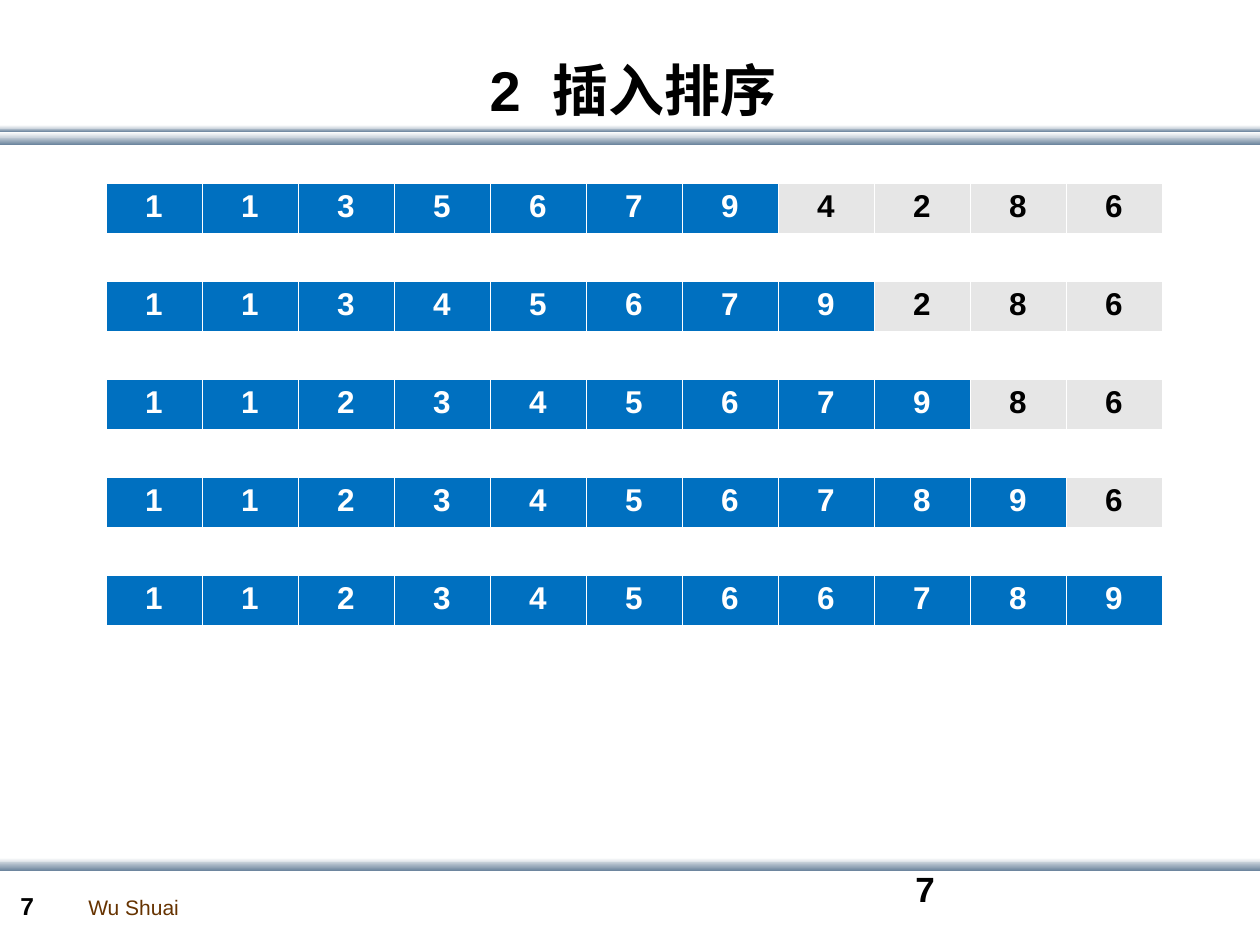
from dataclasses import dataclass

from lxml import etree
from pptx import Presentation
from pptx import util as u
from pptx.dml.color import RGBColor
from pptx.enum import text
from pptx.enum import shapes
from pptx.oxml.ns import qn

EMU_PER_PX = 914400 / 126


@dataclass(frozen=True)
class Theme:
    font: str = "Arial"
    ink: str = "000000"
    paper: str = "FFFFFF"
    author: str = "663300"
    sorted_fill: str = "0070C0"
    unsorted_fill: str = "E6E6E6"
    band_light: str = "C8D1DA"
    band_dark: str = "6A839C"
    title_size: int = 32
    page_size: int = 20
    cell_size: int = 18
    number_size: int = 14
    author_size: int = 12
    thin_border: float = 0.45
    thick_border: float = 1.47


THEME = Theme()

# Top, height and gradient colours of each band, from back to front
SHADE = (THEME.band_light, THEME.band_dark)
SHINE = (THEME.paper, THEME.band_light)
BANDS = [
    (137, 8, SHADE),
    (128, 4, SHADE),
    (132, 6, SHINE),
    (125, 4, SHINE),
    (858, 6, SHINE),
    (862, 9, SHADE),
]

# Array after each insertion; every step adds one sorted value
STEPS = ["11356794286", "11345679286", "11234567986", "11234567896", "11234566789"]
FIRST_SORTED = 7
TABLE_LEFT, TABLE_TOP, STEP_PITCH = 106, 183, 98
CELL_WIDTH, CELL_HEIGHT = 96, 51


def px(length):
    return u.Emu(round(length * EMU_PER_PX))


def rgb(colour):
    return RGBColor.from_string(colour)


def style_paragraph(paragraph, size, colour, bold=True, align=text.PP_ALIGN.LEFT):
    paragraph.alignment = align
    for run in paragraph.runs:
        run.font.name = THEME.font
        run.font.size = u.Pt(size)
        run.font.bold = bold
        run.font.color.rgb = rgb(colour)


def add_band(slide, top, height, colours):
    shape = slide.shapes.add_shape(
        shapes.MSO_SHAPE.RECTANGLE, px(0), px(top), px(1261), px(height))
    shape.shadow.inherit = False
    shape.line.fill.background()
    shape.fill.gradient()
    shape.fill.gradient_angle = 270
    for stop, position, colour in zip(shape.fill.gradient_stops, (0, 1), colours):
        stop.position = position
        stop.color.rgb = rgb(colour)


def add_label(slide, box, words, size, colour, bold=True, wrap=True):
    text_frame = slide.shapes.add_textbox(*map(px, box)).text_frame
    text_frame.word_wrap = wrap
    text_frame.text = words
    style_paragraph(text_frame.paragraphs[0], size, colour, bold)


def set_title(slide, words):
    title = slide.shapes.title
    title.left, title.top, title.width, title.height = map(px, (28, 55, 1210, 69))
    text_frame = title.text_frame
    text_frame.text = words
    text_frame.auto_size = text.MSO_AUTO_SIZE.NONE
    text_frame.vertical_anchor = text.MSO_ANCHOR.MIDDLE
    style_paragraph(text_frame.paragraphs[0], THEME.title_size, THEME.ink,
                    align=text.PP_ALIGN.CENTER)


def set_borders(cell):
    properties = cell._tc.get_or_add_tcPr()
    for side in ("L", "R", "T", "B"):
        width = THEME.thick_border if side == "B" else THEME.thin_border
        line = etree.SubElement(properties, qn(f"a:ln{side}"), w=str(u.Pt(width)))
        fill = etree.SubElement(line, qn("a:solidFill"))
        etree.SubElement(fill, qn("a:srgbClr"), val=THEME.paper)


def add_array(slide, top, values, sorted_count):
    table = slide.shapes.add_table(
        1, len(values), px(TABLE_LEFT), px(top),
        px(CELL_WIDTH * len(values)), px(CELL_HEIGHT)).table
    table.first_row = False
    table.horz_banding = False
    for column in table.columns:
        column.width = px(CELL_WIDTH)
    for index, value in enumerate(values):
        is_sorted = index < sorted_count
        cell = table.cell(0, index)
        set_borders(cell)
        cell.fill.solid()
        cell.fill.fore_color.rgb = rgb(
            THEME.sorted_fill if is_sorted else THEME.unsorted_fill)
        cell.text_frame.text = value
        style_paragraph(cell.text_frame.paragraphs[0], THEME.cell_size,
                        THEME.paper if is_sorted else THEME.ink,
                        align=text.PP_ALIGN.CENTER)


def main():
    presentation = Presentation()
    presentation.slide_width, presentation.slide_height = px(1260), px(945)
    slide = presentation.slides.add_slide(presentation.slide_layouts[5])

    # Header and footer bands
    for band in BANDS:
        add_band(slide, *band)

    # Footer text
    add_label(slide, (76, 888, 116, 38), "Wu Shuai", THEME.author_size,
              THEME.author, bold=False, wrap=False)
    add_label(slide, (8, 885, 69, 43), "7", THEME.number_size, THEME.ink)
    add_label(slide, (903, 861, 294, 63), "7", THEME.page_size, THEME.ink)

    # Title and sorting steps
    set_title(slide, "2  插入排序")
    for step, values in enumerate(STEPS):
        add_array(slide, TABLE_TOP + step * STEP_PITCH, values, FIRST_SORTED + step)

    presentation.save("out.pptx")


if __name__ == "__main__":
    main()
